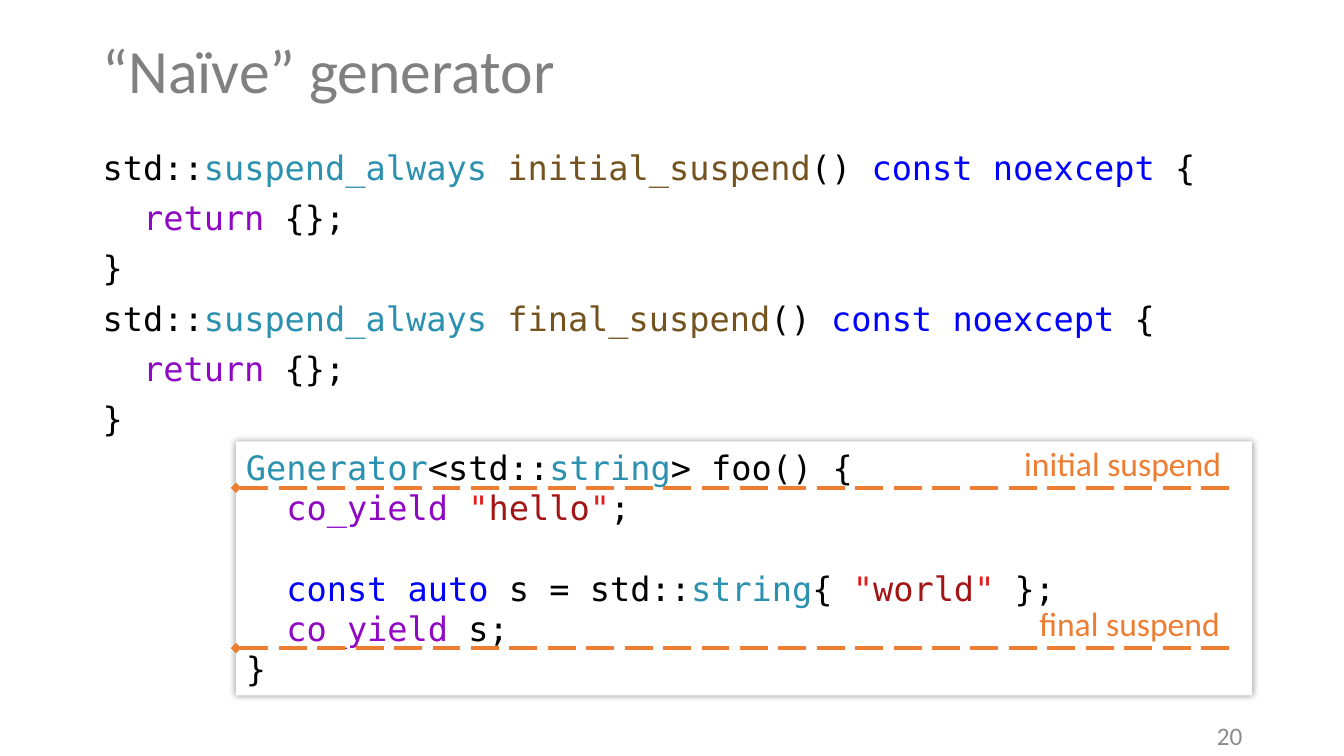
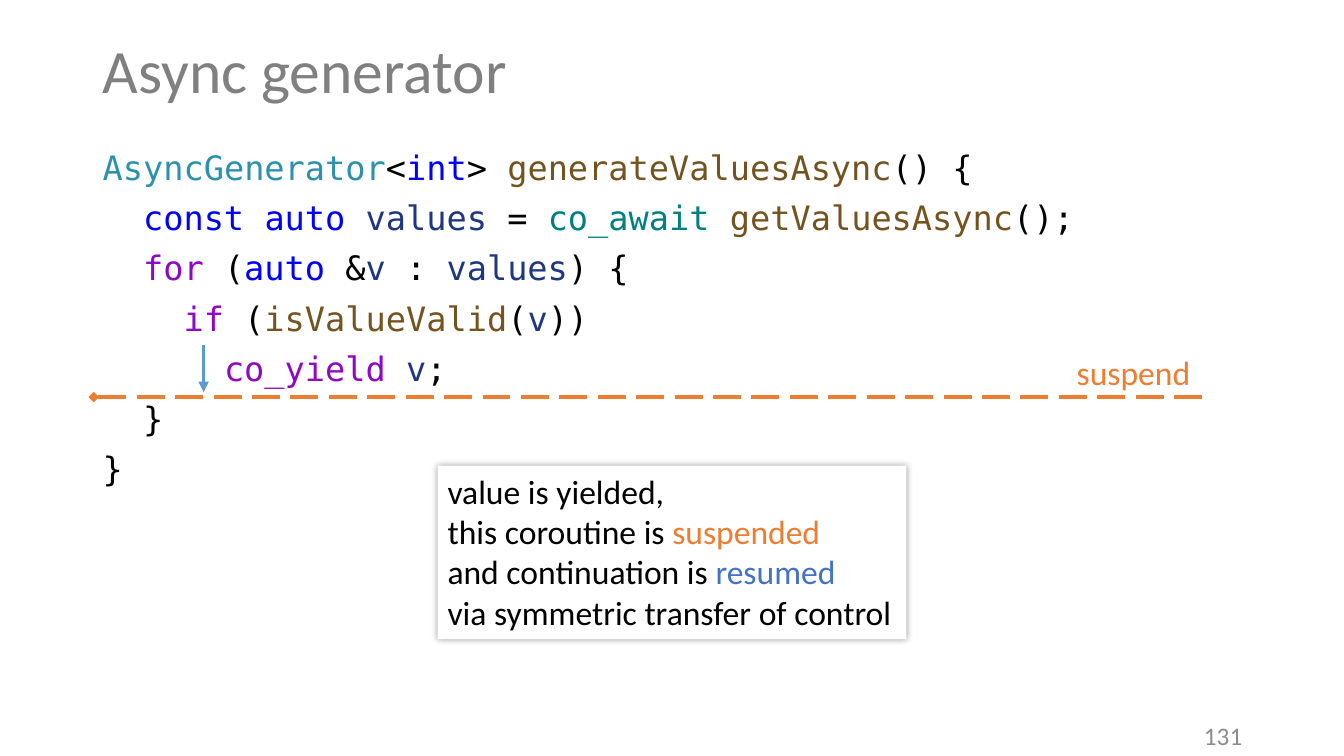
from itertools import groupby
from lxml.etree import SubElement
from pptx import Presentation
from pptx.dml.color import RGBColor
from pptx.enum.dml import MSO_LINE
from pptx.enum.shapes import MSO_CONNECTOR, MSO_SHAPE
from pptx.enum.text import MSO_ANCHOR, PP_ALIGN
from pptx.oxml.ns import qn
from pptx.util import Inches, Pt

COLORS = {
    "white": "FFFFFF", "black": "000000", "title": "808080", "number": "8C8C8C",
    "type": "2B91AF", "func": "74531F", "key": "0000FF", "flow": "8F08C4",
    "var": "1F377F", "await": "008080", "quote": "E21F1F", "text": "A31515",
    "orange": "ED7D31", "blue": "4472C4", "arrow": "5B9BD5",
}
SANS, MONO = "Calibri", "DejaVu Sans Mono"
LEFT, WIDTH = 0.92, 11.5

# Words that take a colour, by role
ROLES = {
    "type": "suspend_always Generator AsyncGenerator string",
    "func": "initial_suspend final_suspend generateValuesAsync getValuesAsync isValueValid",
    "key": "const noexcept auto int",
    "flow": "return co_yield for if",
    "var": "values v",
    "await": "co_await",
    "quote": '"',
    "text": "hello world",
    "orange": "suspended",
    "blue": "resumed",
}
WORDS = {word: role for role, words in ROLES.items() for word in words.split()}

PROMISE = """std::suspend_always initial_suspend() const noexcept {
  return {};
}
std::suspend_always final_suspend() const noexcept {
  return {};
}"""

FOO = """Generator<std::string> foo() {
  co_yield "hello";

  const auto s = std::string{ "world" };
  co_yield s;
}"""

ASYNC = """AsyncGenerator<int> generateValuesAsync() {
  const auto values = co_await getValuesAsync();
  for (auto &v : values) {
    if (isValueValid(v))
      co_yield v;
  }
}"""

NOTE = """value is yielded,
this coroutine is suspended
and continuation is resumed
via symmetric transfer of control"""


def rgb(name):
    return RGBColor.from_string(COLORS[name])


def kind(char):
    if char == '"':
        return "quote"
    return "word" if char.isalnum() or char == "_" else "other"


def style(font, size, face, color):
    font.size, font.name = Pt(size), face
    font.color.rgb = rgb(color)


def add_text(slide, text, x, y, w, h, size, color, anchor=MSO_ANCHOR.TOP, align=PP_ALIGN.LEFT):
    frame = slide.shapes.add_textbox(Inches(x), Inches(y), Inches(w), Inches(h)).text_frame
    frame.word_wrap, frame.vertical_anchor = True, anchor
    frame.text = text
    para = frame.paragraphs[0]
    para.alignment = align
    style(para.runs[0].font, size, SANS, color)
    return para


def add_lines(frame, text, face, line=1.0, before=0):
    """Fill a frame with lines of text, colouring the known words."""
    frame.word_wrap, frame.vertical_anchor = True, MSO_ANCHOR.TOP
    for i, row in enumerate(text.split("\n")):
        para = frame.add_paragraph() if i else frame.paragraphs[0]
        para.alignment, para.line_spacing = PP_ALIGN.LEFT, line
        para.space_before = Pt(before if i else 0)
        style(para.font, 24, face, "black")
        # Neighbouring pieces of one colour share a run
        parts = ["".join(chars) for _, chars in groupby(row, kind)]
        for color, group in groupby(parts, lambda part: WORDS.get(part, "black")):
            run = para.add_run()
            run.text = "".join(group)
            style(run.font, 24, face, color)
            if face == MONO:
                fill = run.font._element.find(qn("a:solidFill"))
                mark = SubElement(run.font._element, qn("a:highlight"))
                SubElement(mark, qn("a:srgbClr"), val=COLORS["white"])
                fill.addnext(mark)


def add_base(prs, title, code, number):
    """A slide with its title, main code and number."""
    slide = prs.slides.add_slide(prs.slide_layouts[6])
    para = add_text(slide, title, LEFT, 0, WIDTH, 1.45, 44, "title", MSO_ANCHOR.MIDDLE)
    para.line_spacing = 0.9
    body = slide.shapes.add_textbox(Inches(LEFT), Inches(1.45), Inches(WIDTH), Inches(5.65))
    add_lines(body.text_frame, code, MONO, 0.9, 10)
    add_text(slide, number, LEFT + WIDTH - 3, 7.1, 3, 0.4, 18, "number",
             MSO_ANCHOR.MIDDLE, PP_ALIGN.RIGHT)
    return slide


def add_card(slide, text, face, x, y, w, h):
    """A white box with a soft shadow."""
    card = slide.shapes.add_shape(MSO_SHAPE.RECTANGLE, Inches(x), Inches(y), Inches(w), Inches(h))
    card.fill.solid()
    card.fill.fore_color.rgb = rgb("white")
    card.line.fill.background()
    card.shadow.inherit = False
    effects = card._element.spPr.find(qn("a:effectLst"))
    shadow = SubElement(effects, qn("a:outerShdw"), blurRad=str(Pt(5)), dist="0",
                        algn="ctr", rotWithShape="0")
    tint = SubElement(shadow, qn("a:srgbClr"), val=COLORS["black"])
    SubElement(tint, qn("a:alpha"), val="40000")
    add_lines(card.text_frame, text, face)


def add_line(slide, x1, y1, x2, y2, color, end, shape):
    """A line with an arrowhead: end is headEnd or tailEnd."""
    line = slide.shapes.add_connector(MSO_CONNECTOR.STRAIGHT, Inches(x1), Inches(y1),
                                      Inches(x2), Inches(y2))
    line.line.color.rgb = rgb(color)
    line.line.width = Pt(2.5)
    if shape == "diamond":
        line.line.dash_style = MSO_LINE.LONG_DASH
    SubElement(line.line._get_or_add_ln(), qn(f"a:{end}"), type=shape)
    SubElement(line._element.spPr, qn("a:effectLst"))


def add_stop(slide, label, x, y, w, span):
    """A dashed suspend point, with its label above the right end."""
    add_line(slide, x, y, x + w, y, "orange", "headEnd", "diamond")
    add_text(slide, label, x + w - span, y - 0.5, span, 0.5, 24, "orange")


def add_naive(prs):
    slide = add_base(prs, "“Naïve” generator", PROMISE, "20")
    x, y = 2.34, 4.38
    add_card(slide, FOO, MONO, x, y, 10.08, 2.52)
    for label, drop, span in (("initial suspend", 0.46, 2.2), ("final suspend", 2.05, 2.05)):
        add_stop(slide, label, x, y + drop, 9.92, span)


def add_async(prs):
    slide = add_base(prs, "Async generator", ASYNC, "131")
    add_line(slide, 2.02, 3.42, 2.02, 3.89, "arrow", "tailEnd", "triangle")
    add_card(slide, NOTE, SANS, 4.34, 4.62, 4.65, 1.72)
    add_stop(slide, "suspend", 0.93, 3.94, 11.02, 1.37)


def main():
    prs = Presentation()
    prs.slide_width, prs.slide_height = Inches(13.33), Inches(7.5)
    add_naive(prs)
    add_async(prs)
    prs.save("out.pptx")


if __name__ == "__main__":
    main()
